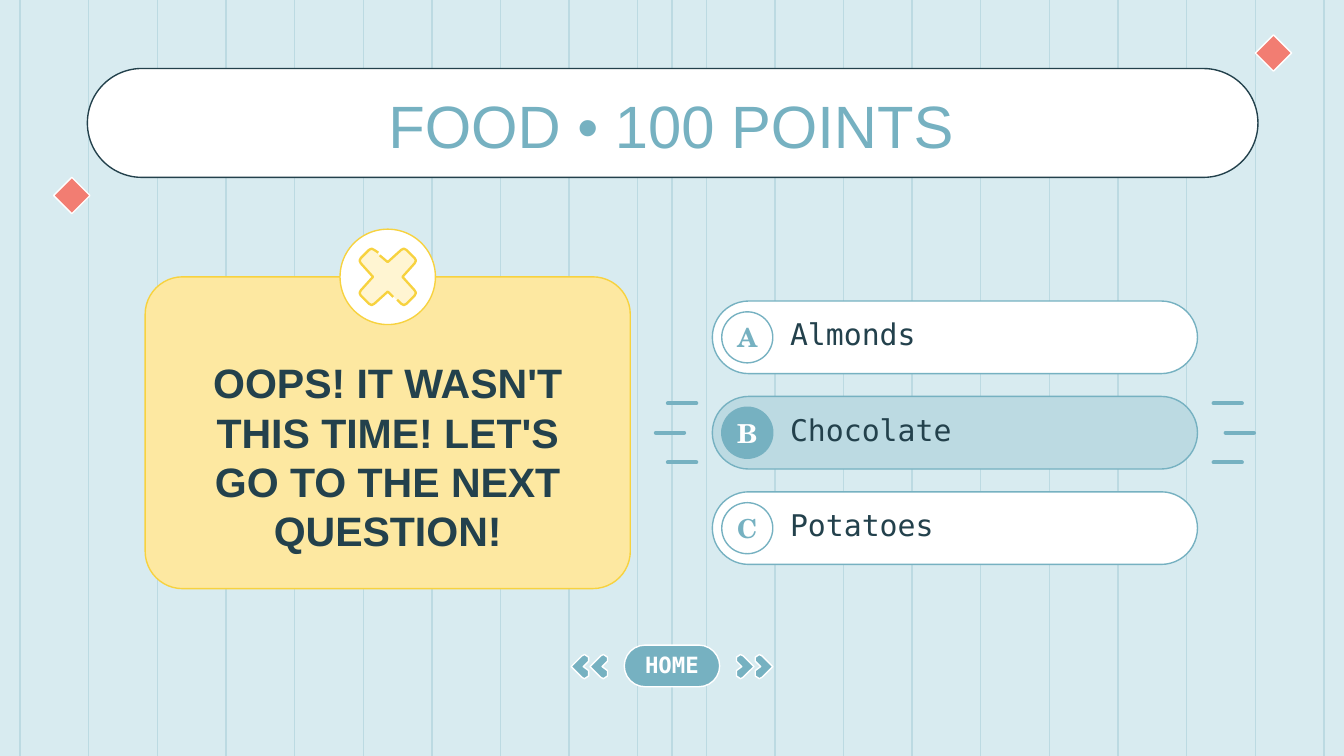
import pptx
import pptx.dml.color
import pptx.enum.shapes
import pptx.enum.text
import pptx.oxml
import pptx.util

Inches = pptx.util.Inches
Pt = pptx.util.Pt
RGBColor = pptx.dml.color.RGBColor
Shape = pptx.enum.shapes.MSO_SHAPE
Anchor = pptx.enum.text.MSO_ANCHOR
Align = pptx.enum.text.PP_ALIGN

SKY = RGBColor(0xD8, 0xEB, 0xF0)
PALE_BLUE = RGBColor(0xBC, 0xDA, 0xE2)
BLUE = RGBColor(0x76, 0xB1, 0xC1)
NAVY = RGBColor(0x23, 0x41, 0x4C)
CORAL = RGBColor(0xF2, 0x7D, 0x72)
CREAM = RGBColor(0xFD, 0xE8, 0xA1)
PALE_CREAM = RGBColor(0xFF, 0xF5, 0xD2)
YELLOW = RGBColor(0xF7, 0xD2, 0x3F)
WHITE = RGBColor(0xFF, 0xFF, 0xFF)

MONO = "DejaVu Sans Mono"
SERIF = "TeX Gyre Schola"
SANS = "Arial"

CHEVRON = [(0.04, 0), (0.06, 0.01), (0.14, 0.09), (0.06, 0.17), (0.04, 0.18),
           (0.01, 0.16), (0.01, 0.12), (0.05, 0.09), (0.01, 0.05), (0.01, 0.02)]
CROSS_ARM = [(0, -0.11), (0.1, -0.2), (0.12, -0.21), (0.14, -0.2),
             (0.2, -0.14), (0.21, -0.12), (0.2, -0.1)]


def paint(shape, fill, line=None, width=0.75):
    shape.shadow.inherit = False
    if fill is None:
        shape.fill.background()
    else:
        shape.fill.solid()
        shape.fill.fore_color.rgb = fill
    if line is None:
        shape.line.fill.background()
    else:
        shape.line.color.rgb = line
        shape.line.width = Pt(width)


def add_shape(slide, kind, box, fill, line, corner=None):
    shape = slide.shapes.add_shape(kind, *[Inches(value) for value in box])
    paint(shape, fill, line)
    if corner is not None:
        shape.adjustments[0] = corner
    return shape


def add_outline(slide, points, fill, line=None, width=0.75, close=True):
    pixels = [(round(x * 1000), round(y * 1000)) for x, y in points]
    builder = slide.shapes.build_freeform(*pixels[0], scale=Inches(1) / 1000)
    builder.add_line_segments(pixels[1:], close=close)
    paint(builder.convert_to_shape(), fill, line, width)


def add_line(slide, start, end, color, width, cap="flat"):
    connector = slide.shapes.add_connector(
        pptx.enum.shapes.MSO_CONNECTOR.STRAIGHT,
        *[Inches(value) for value in (*start, *end)])
    connector.line.color.rgb = color
    connector.line.width = Pt(width)
    connector.line._get_or_add_ln().set("cap", cap)
    properties = connector._element.spPr
    properties.append(properties.makeelement(pptx.oxml.ns.qn("a:effectLst"), {}))


def write(shape, text, font, color, margins, anchor=Anchor.MIDDLE, align=Align.CENTER):
    frame = shape.text_frame
    sides = ("margin_left", "margin_top", "margin_right", "margin_bottom")
    settings = {"auto_size": pptx.enum.text.MSO_AUTO_SIZE.NONE, "word_wrap": True,
                "vertical_anchor": anchor}
    settings.update({side: Inches(value) for side, value in zip(sides, margins)})
    for name, value in settings.items():
        setattr(frame, name, value)
    frame.text = text
    paragraph = frame.paragraphs[0]
    paragraph.alignment = align
    for name, value in font.items():
        setattr(paragraph.font, name, value)
    paragraph.font.color.rgb = color


def draw_stripes(slide, width, height):
    for index in range(20):
        x = 0.15 + index * (width - 0.3) / 19
        add_line(slide, (x, 0), (x, height), PALE_BLUE, 0.75)
    add_line(slide, (width / 2, 0), (width / 2, height), PALE_BLUE, 0.75)


def draw_header(slide, left, top, width, height):
    add_shape(slide, Shape.ROUNDED_RECTANGLE, (left, top, width, height), WHITE, NAVY, 0.5)
    side = 0.27
    for x, y in ((left - 0.25, top + height), (left + width - 0.02, top - 0.25)):
        add_shape(slide, Shape.DIAMOND, (x, y, side, side), CORAL, WHITE)
    title = slide.shapes.title
    slide.shapes.element.append(title.element)
    placement = {"left": left + 0.66, "top": top + 0.05, "width": width - 1.34, "height": 0.65}
    for name, value in placement.items():
        setattr(title, name, Inches(value))
    write(title, "FOOD • 100 POINTS", {"size": Pt(32), "name": SANS}, BLUE,
          (0.1, 0.1, 0.1, 0.1), Anchor.TOP)


def draw_cross(slide, center_x, center_y):
    ring = []
    arm = CROSS_ARM
    for _ in range(4):
        ring += arm
        arm = [(-y, x) for x, y in arm]

    def place(points):
        return [(center_x + x, center_y + y) for x, y in points]

    half = len(ring) // 2
    right_stroke = [(-0.06, -0.16)] + ring[:half] + [(0.07, 0.17)]
    left_stroke = [(0.04, 0.15)] + ring[half:] + [(-0.07, -0.18)]
    add_outline(slide, place(ring), PALE_CREAM)
    for stroke in (right_stroke, left_stroke):
        add_outline(slide, place(stroke), None, YELLOW, 1.25, close=False)


def draw_message(slide, left, top, width, height):
    card = add_shape(slide, Shape.ROUNDED_RECTANGLE, (left, top, width, height),
                     CREAM, YELLOW, 0.12)
    write(card, "OOPS! IT WASN'T THIS TIME! LET'S GO TO THE NEXT QUESTION!",
          {"size": Pt(22), "name": SANS, "bold": True}, NAVY, (0.3, 0.45, 0.3, 0.1))
    center, diameter = left + width / 2, 0.71
    add_shape(slide, Shape.OVAL,
              (center - diameter / 2, top - diameter / 2, diameter, diameter), WHITE, YELLOW)
    draw_cross(slide, center, top)


def draw_answer(slide, left, top, width, height, letter, answer, chosen):
    bar = add_shape(slide, Shape.ROUNDED_RECTANGLE, (left, top, width, height),
                    PALE_BLUE if chosen else WHITE, BLUE, 0.5)
    write(bar, answer, {"size": Pt(16), "name": MONO}, NAVY,
          (0.5, 0.05, 0.1, 0.1), align=Align.LEFT)
    diameter = 0.38
    badge = add_shape(slide, Shape.OVAL,
                      (left + 0.07, top + (height - diameter) / 2, diameter, diameter),
                      BLUE if chosen else WHITE, BLUE)
    write(badge, letter, {"size": Pt(14), "name": SERIF, "bold": True},
          WHITE if chosen else BLUE, (0, 0.1, 0, 0.1))
    if chosen:
        middle, length = top + height / 2, 0.21
        for rise, gap in ((-0.22, 0.12), (0, 0.21), (0.22, 0.12)):
            for start in (left - gap - length, left + width + gap):
                add_line(slide, (start, middle + rise), (start + length, middle + rise),
                         BLUE, 2.25, "rnd")


def draw_answers(slide, left, top, width, height):
    answers = [("A", "Almonds"), ("B", "Chocolate"), ("C", "Potatoes")]
    for index, (letter, answer) in enumerate(answers):
        draw_answer(slide, left, top + index * 0.71, width, height, letter, answer,
                    letter == "B")


def draw_navigation(slide, left, top, width, height):
    button = add_shape(slide, Shape.ROUNDED_RECTANGLE, (left, top, width, height),
                       BLUE, WHITE, 0.5)
    write(button, "HOME", {"size": Pt(12), "name": MONO, "bold": True}, WHITE,
          (0.1, 0.08, 0.1, 0.1))
    center = left + width / 2
    for direction in (1, -1):
        for offset in (0.47, 0.61):
            add_outline(slide, [(center + direction * (offset + x), top + 0.07 + y)
                                for x, y in CHEVRON], BLUE, WHITE)


def main():
    width = 10
    height = width * 9 / 16
    presentation = pptx.Presentation()
    presentation.slide_width = Inches(width)
    presentation.slide_height = Inches(height)
    slide = presentation.slides.add_slide(presentation.slide_layouts[5])
    slide.background.fill.solid()
    slide.background.fill.fore_color.rgb = SKY
    draw_stripes(slide, width, height)
    draw_header(slide, 0.65, 0.51, 8.71, 0.81)
    draw_message(slide, 1.08, 2.06, 3.61, 2.32)
    draw_answers(slide, 5.3, 2.24, 3.61, 0.54)
    draw_navigation(slide, 4.645, 4.8, 0.71, 0.31)
    presentation.save("out.pptx")


if __name__ == "__main__":
    main()
